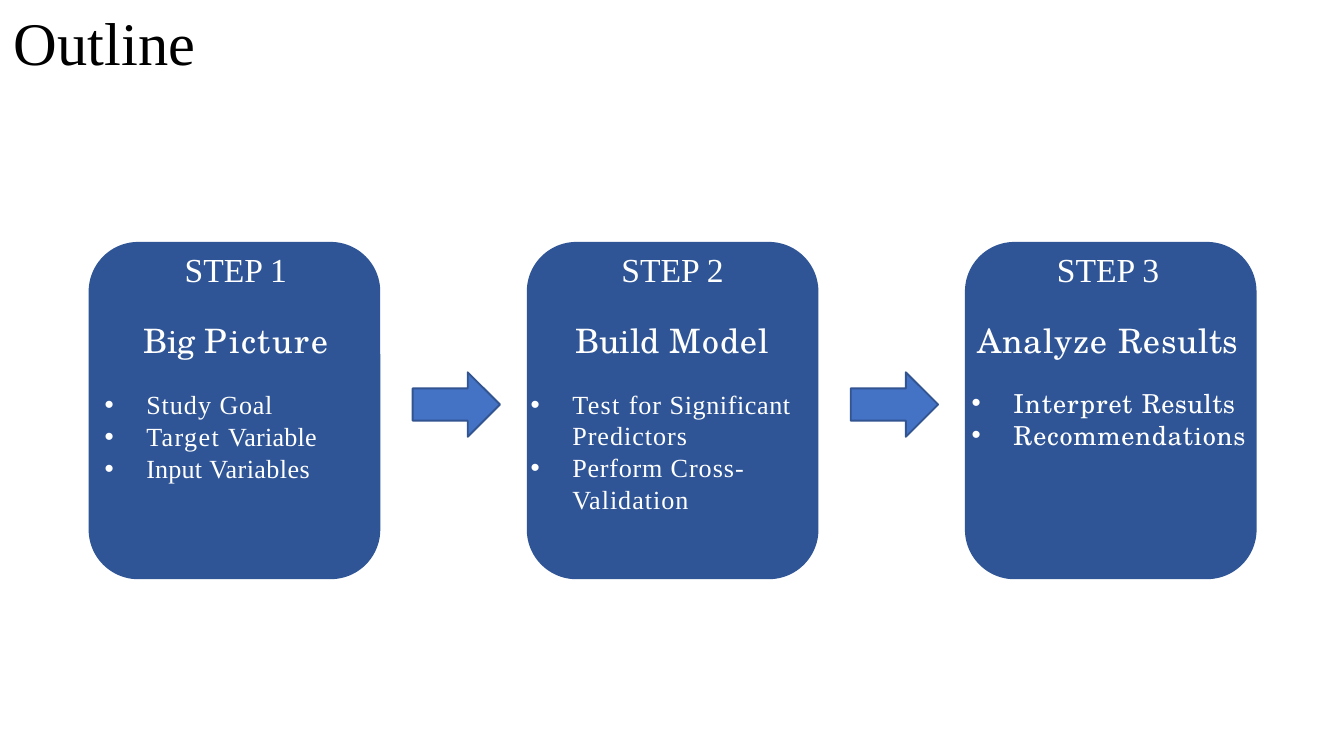
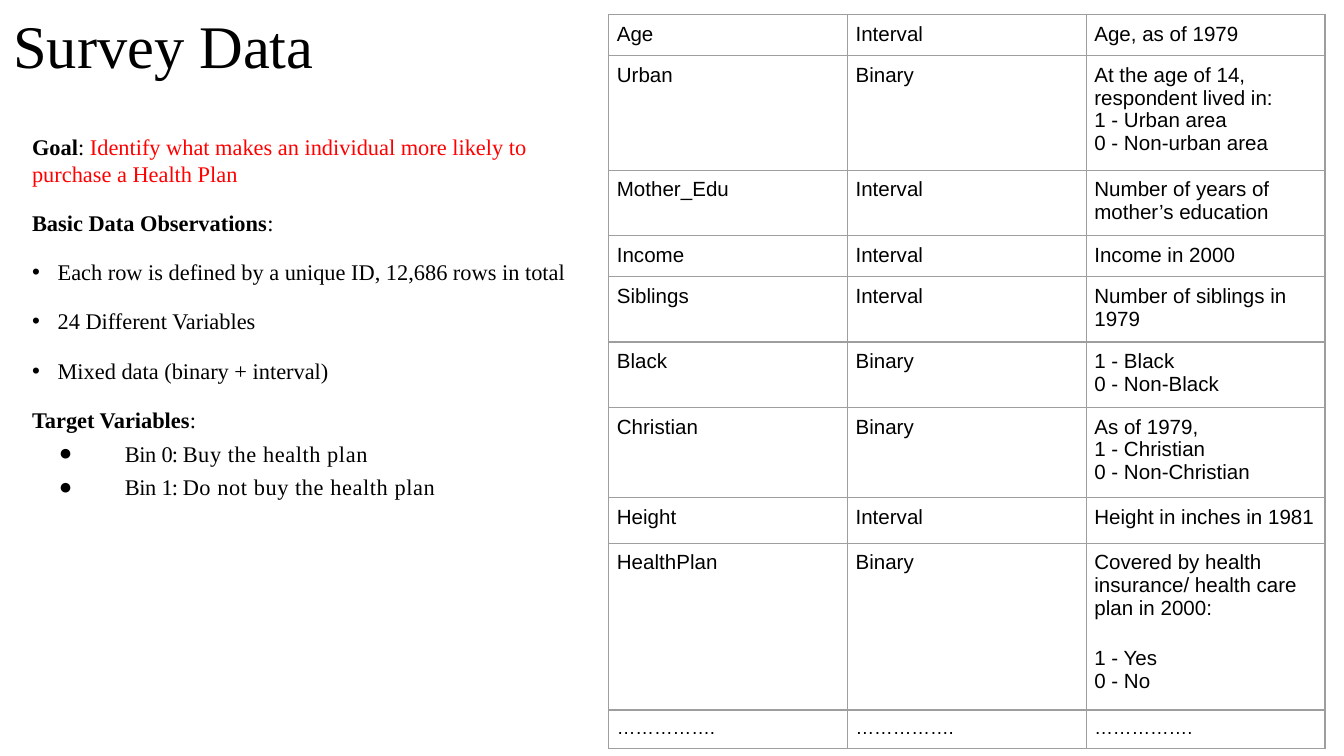
"""Builds an outline slide with three steps and a survey data slide."""
from copy import deepcopy

from lxml import etree
from pptx import Presentation
from pptx.dml.color import RGBColor
from pptx.enum.shapes import MSO_SHAPE
from pptx.enum.text import MSO_ANCHOR, MSO_AUTO_SIZE, PP_ALIGN
from pptx.oxml.ns import qn
from pptx.util import Inches, Pt

CARD, ARROW = MSO_SHAPE.ROUNDED_RECTANGLE, MSO_SHAPE.RIGHT_ARROW
CENTER, TOP, GROW = PP_ALIGN.CENTER, MSO_ANCHOR.TOP, MSO_AUTO_SIZE.SHAPE_TO_FIT_TEXT
WIDTH = Inches(10)
HEIGHT = WIDTH * 9 // 16
COL = ROW = WIDTH / 10

COLORS = {
    "text": "000000", "light": "FFFFFF", "goal": "FF0000", "card": "2F5597",
    "arrow": "4472C4", "arrow_line": "325491", "grid": "9E9E9E",
}
SERIF, SCHOLA, SANS = "Times New Roman", "TeX Gyre Schola", "Arial"
TITLE = {"size": 32.4, "name": SERIF, "color": "text"}
STEP = {"size": 18, "name": SERIF, "color": "light"}
ITEM = {"size": 14, "name": SERIF, "color": "light"}
BODY = {"size": 12, "name": SERIF, "color": "text"}
CELL = {"size": 11, "name": SANS, "color": "text"}
BOLD = {"bold": True}
INSET = (0.1, 0.05, 0.1, 0.05)

CARD_LEFT, CARD_TOP, CARD_W, CARD_H = 0.66, 1.8, 2.17, 2.51
PITCH = 3.26
ARROW_W, ARROW_H = 0.65, 0.48
ARROW_GAP, ARROW_TOP = 0.24, 2.77

STEPS = [
    {"name": [("Big ", -0.1), ("Picture", 0.9)], "head": (0.25, 1.69),
     "list": (0, 2.84, 2.01, 0.81), "font": SERIF, "inset": INSET,
     "items": [[("Study ", 0.5), ("Goal", 0.3)],
               [("Target ", 0.7), ("Variable", 0.1)],
               [("Input ", 0.1), ("Variables", 0.2)]]},
    {"name": [("Build ", -0.1), ("Model", 0.7)], "head": (0.24, 1.69),
     "list": (-0.09, 2.84, 2.61, 1.05), "font": SERIF, "inset": INSET,
     "items": [[("Test ", 0.7), ("for ", 0.5), ("Significant ", 0.3), ("Predictors", 0.5)],
               [("Perform ", 0.4), ("Cross-Validation", 0.5)]]},
    {"name": [("Analyze ", 0.5), ("Results", 0.3)], "head": (-0.02, 2.17),
     "list": (0.03, 2.86, 2.12, 0.49), "font": SCHOLA, "inset": (0, 0.02, 0, 0),
     "items": [[("Interpret ", 0.5), ("Results", 0.2)],
               [("Recommendations", 0.4)]]},
]

AFTER = {"space_after": Pt(12)}
POINT = {"bullet": "•", "indent": (0.19, -0.19), **AFTER}
TARGET = {"bullet": "●", "indent": (0.69, -0.49), "space_before": Pt(3.6)}
OBSERVATIONS = [
    ([("Goal", BOLD), (": ", {}),
      ("Identify what makes an individual more likely to purchase a Health Plan",
       {"color": "goal"})], AFTER),
    ([("Basic Data Observations", BOLD), (":", {})], AFTER),
    ([("Each row is defined by a unique ID, 12,686 rows in total", {})], POINT),
    ([("24 Different Variables", {})], POINT),
    ([("Mixed data (binary + interval)", {})], POINT),
    ([("Target Variables", BOLD), (":", {})], {}),
    ([("Bin ", {"spc": -0.2}), ("0: ", {"spc": -0.5}),
      ("Buy the health plan", {"spc": 0.3})], TARGET),
    ([("Bin ", {"spc": -0.2}), ("1: ", {"spc": -0.5}),
      ("Do not buy the health plan", {"spc": 0.3})], TARGET),
]

DOTS = "……………."
VARIABLES = [
    (0.23, "Age", "Interval", ["Age, as of 1979"]),
    (0.55, "Urban", "Binary", ["At the age of 14, respondent lived in:",
                               "1 - Urban area", "0 - Non-urban area"]),
    (0.34, "Mother_Edu", "Interval", ["Number of years of mother’s education"]),
    (0.23, "Income", "Interval", ["Income in 2000"]),
    (0.34, "Siblings", "Interval", ["Number of siblings in 1979"]),
    (0.34, "Black", "Binary", ["1 - Black", "0 - Non-Black"]),
    (0.45, "Christian", "Binary", ["As of 1979,", "1 - Christian", "0 - Non-Christian"]),
    (0.34, "Height", "Interval", ["Height in inches in 1981"]),
    (0.79, "HealthPlan", "Binary", ["Covered by health insurance/ health care plan in 2000:",
                                    "1 - Yes", "0 - No"]),
    (0.2, DOTS, DOTS, [DOTS]),
]


def rgb(key):
    return RGBColor.from_string(COLORS[key])


def place(left, top, width, height):
    return [round(n) for n in (left * COL, top * ROW, width * COL, height * ROW)]


def add_run(p, text, fmt):
    r = p.add_run()
    r.text = text
    values = {"size": Pt(fmt["size"]), "name": fmt["name"], "bold": fmt.get("bold", False)}
    for key, value in values.items():
        setattr(r.font, key, value)
    r.font.color.rgb = rgb(fmt["color"])
    rPr = r._r.get_or_add_rPr()
    for tag in ("a:ea", "a:cs"):
        etree.SubElement(rPr, qn(tag)).set("typeface", fmt["name"])
    if "spc" in fmt:
        rPr.set("spc", str(round(fmt["spc"] * 100)))
    return rPr


def add_bullet(p, char, indent):
    pPr = p._p.get_or_add_pPr()
    for key, value in zip(("marL", "indent"), indent):
        pPr.set(key, str(Inches(value)))
    etree.SubElement(pPr, qn("a:buFont")).set("typeface", SANS)
    etree.SubElement(pPr, qn("a:buChar")).set("char", char)


def end_paragraph(p, rPr):
    end = etree.SubElement(p._p, qn("a:endParaRPr"), dict(rPr.attrib))
    end.extend(deepcopy(list(rPr)))


def fill_text(tf, paragraphs, base):
    for i, (runs, fmt) in enumerate(paragraphs):
        p = tf.paragraphs[0] if i == 0 else tf.add_paragraph()
        for key in ("alignment", "line_spacing", "space_before", "space_after"):
            if key in fmt:
                setattr(p, key, fmt[key])
        if "bullet" in fmt:
            add_bullet(p, fmt["bullet"], fmt["indent"])
        for text, run_fmt in runs:
            rPr = add_run(p, text, {**base, **run_fmt})
        end_paragraph(p, rPr)


def set_margins(target, inset):
    for side, value in zip(("left", "top", "right", "bottom"), inset):
        setattr(target, f"margin_{side}", Inches(value))


def add_text(s, box, paragraphs, base, inset=INSET, auto_size=GROW):
    tf = s.shapes.add_textbox(*place(*box)).text_frame
    values = {"word_wrap": True, "vertical_anchor": TOP, "auto_size": auto_size}
    for key, value in values.items():
        setattr(tf, key, value)
    set_margins(tf, inset)
    fill_text(tf, paragraphs, base)


def add_title(s, text, top=0, spc=0):
    add_text(s, (0, top, 9.32, 0.63), [([(text, {"spc": spc})], {"line_spacing": 0.9})],
             TITLE, (0.1,) * 4, MSO_AUTO_SIZE.NONE)


def add_block(s, kind, box, fill, line=None):
    sp = s.shapes.add_shape(kind, *place(*box))
    sp.shadow.inherit = False
    sp.fill.solid()
    sp.fill.fore_color.rgb = rgb(fill)
    if line:
        sp.line.color.rgb = rgb(line)
        sp.line.width = Pt(1)
    else:
        sp.line.fill.background()
    return sp


def add_step(s, index, step):
    left = CARD_LEFT + index * PITCH
    card = add_block(s, CARD, (left, CARD_TOP, CARD_W, CARD_H), "card")
    card.adjustments[0] = 0.17
    shift, width = step["head"]
    name = [(text, {"name": SCHOLA, "spc": spc}) for text, spc in step["name"]]
    add_text(s, (left + shift, CARD_TOP, width, 0.86),
             [([(f"STEP {index + 1}", {})], {"alignment": CENTER}),
              (name, {"alignment": CENTER, "line_spacing": Pt(38.2)})], STEP)
    items = [([(text, {"spc": spc}) for text, spc in item],
              {"bullet": "•", "indent": (0.33, -0.31),
               "space_before": Pt(0.4 if i else 1.3)})
             for i, item in enumerate(step["items"])]
    shift, top, width, height = step["list"]
    add_text(s, (left + shift, top, width, height), items,
             {**ITEM, "name": step["font"]}, step["inset"])


def add_borders(cell):
    tcPr = cell._tc.get_or_add_tcPr()
    for i, side in enumerate(("lnL", "lnR", "lnT", "lnB")):
        ln = etree.Element(qn(f"a:{side}"), w=str(Pt(0.75)))
        solid = etree.SubElement(ln, qn("a:solidFill"))
        etree.SubElement(solid, qn("a:srgbClr")).set("val", COLORS["grid"])
        tcPr.insert(i, ln)


def fill_cell(cell, lines, fmt):
    paragraphs = [([(line, {})], {}) for line in lines]
    if lines[0].startswith("Covered"):
        paragraphs[1][1]["space_before"] = Pt(14.6)
    set_margins(cell, (0.06,) * 4)
    cell.vertical_anchor = TOP
    cell.fill.background()
    add_borders(cell)
    fill_text(cell.text_frame, paragraphs, fmt)


def add_variables(s):
    height = sum(row[0] for row in VARIABLES)
    table = s.shapes.add_table(len(VARIABLES), 3, *place(4.53, 0.11, 5.33, height)).table
    table.first_row = table.horz_banding = False
    for i, (row_height, name, kind, meaning) in enumerate(VARIABLES):
        table.rows[i].height = round(row_height * ROW)
        fmt = {**CELL, "size": 10} if name == DOTS else CELL
        for j, lines in enumerate(([name], [kind], meaning)):
            fill_cell(table.cell(i, j), lines, fmt)


def build_outline(s):
    add_title(s, "Outline", spc=0.1)
    for i, step in enumerate(STEPS):
        add_step(s, i, step)
    for i in range(len(STEPS) - 1):
        left = CARD_LEFT + CARD_W + ARROW_GAP + i * PITCH
        add_block(s, ARROW, (left, ARROW_TOP, ARROW_W, ARROW_H), "arrow", "arrow_line")


def build_survey(s):
    add_title(s, "Survey Data", top=0.02)
    add_variables(s)
    add_text(s, (0.14, 0.94, 4.19, 2.94), OBSERVATIONS, BODY)


def main():
    prs = Presentation()
    prs.slide_width, prs.slide_height = WIDTH, HEIGHT
    for build in (build_outline, build_survey):
        build(prs.slides.add_slide(prs.slide_layouts[6]))
    prs.save("out.pptx")


if __name__ == "__main__":
    main()
